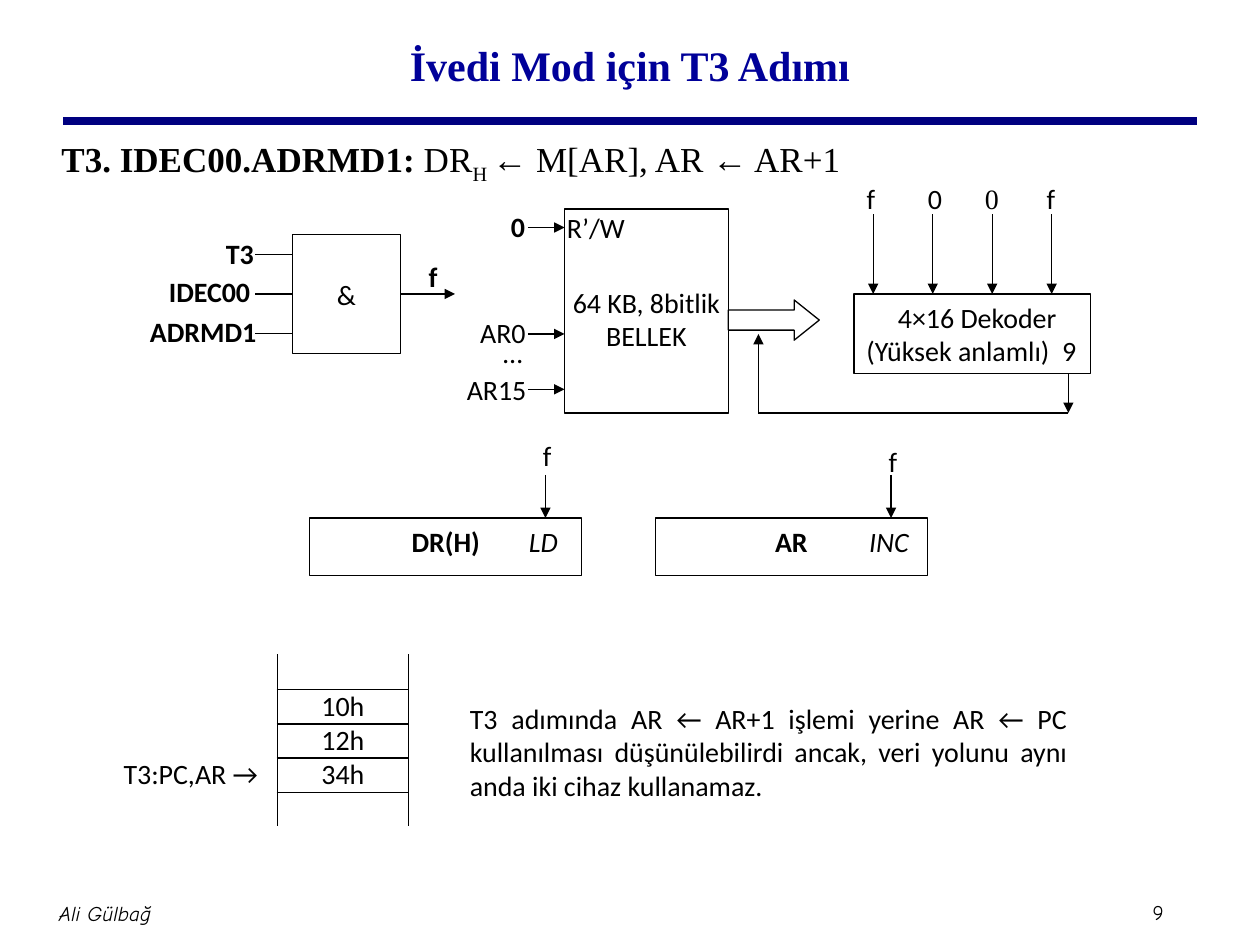
from lxml.etree import SubElement
from pptx import Presentation
from pptx.dml.color import RGBColor
from pptx.enum.shapes import MSO_CONNECTOR, MSO_SHAPE
from pptx.enum.text import MSO_ANCHOR, PP_ALIGN
from pptx.oxml import parse_xml
from pptx.oxml.ns import nsdecls, qn
from pptx.util import Pt

COLORS = {"ink": "000000", "paper": "FFFFFF", "title": "000099", "rule": "000080"}
SERIF, SANS, HAND = "Times New Roman", "Calibri", "Comic Neue"
LEFT, CENTER, RIGHT, JUSTIFY = PP_ALIGN.LEFT, PP_ALIGN.CENTER, PP_ALIGN.RIGHT, PP_ALIGN.JUSTIFY
TOP, MIDDLE = MSO_ANCHOR.TOP, MSO_ANCHOR.MIDDLE


class Diagram:
    """Holds the text style and the current slide; all lengths are points."""

    def __init__(self, slide, font=SANS, size=16, line_width=0.75):
        self.slide = slide
        self.font = font
        self.size = size
        self.line_width = line_width

    def color(self, name):
        return RGBColor.from_string(COLORS[name])

    def add_run(self, paragraph, text, bold=False, italic=False, font=None,
                size=None, color="ink", baseline=None):
        run = paragraph.add_run()
        run.text = text
        run.font.name = font or self.font
        run.font.size = Pt(size or self.size)
        run.font.bold = bold
        run.font.italic = italic
        run.font.color.rgb = self.color(color)
        if baseline:
            run.font._element.set("baseline", str(baseline))

    def frame(self, shape, align=LEFT, anchor=TOP, margins=(7.2, 3.6)):
        text_frame = shape.text_frame
        text_frame.word_wrap = True
        text_frame.vertical_anchor = anchor
        text_frame.margin_left = text_frame.margin_right = Pt(margins[0])
        text_frame.margin_top = text_frame.margin_bottom = Pt(margins[1])
        text_frame.paragraphs[0].alignment = align
        return text_frame

    def text(self, left, top, width, height, text, align=LEFT, anchor=TOP,
             margins=(7.2, 3.6), **style):
        box = self.slide.shapes.add_textbox(Pt(left), Pt(top), Pt(width), Pt(height))
        paragraph = self.frame(box, align, anchor, margins).paragraphs[0]
        if text:
            self.add_run(paragraph, text, **style)
        return paragraph

    def shape(self, left, top, width, height, kind=MSO_SHAPE.RECTANGLE):
        shape = self.slide.shapes.add_shape(kind, Pt(left), Pt(top), Pt(width), Pt(height))
        shape.shadow.inherit = False
        shape.fill.solid()
        shape.fill.fore_color.rgb = self.color("paper")
        shape.line.color.rgb = self.color("ink")
        shape.line.width = Pt(self.line_width)
        return shape

    def line(self, x1, y1, x2, y2, arrow=False, color="ink", width=None):
        connector = self.slide.shapes.add_connector(
            MSO_CONNECTOR.STRAIGHT, Pt(x1), Pt(y1), Pt(x2), Pt(y2))
        connector.line.color.rgb = self.color(color)
        connector.line.width = Pt(width or self.line_width)
        if arrow:
            SubElement(connector.line._get_or_add_ln(), qn("a:tailEnd"), type="triangle")
        SubElement(connector._element.spPr, qn("a:effectLst"))

    def table(self, left, top, widths, row_height, rows):
        frame = self.slide.shapes.add_table(
            len(rows), len(widths), Pt(left), Pt(top),
            Pt(sum(widths)), Pt(row_height * len(rows)))
        table = frame.table
        table.first_row = table.horz_banding = False
        for column, width in zip(table.columns, widths):
            column.width = Pt(width)
        for row, texts in zip(table.rows, rows):
            row.height = Pt(row_height)
            for cell, text in zip(row.cells, texts):
                cell.fill.background()
                cell.margin_left = cell.margin_right = Pt(5)
                cell.margin_top = cell.margin_bottom = 0
                paragraph = cell.text_frame.paragraphs[0]
                paragraph.alignment = CENTER
                if text:
                    self.add_run(paragraph, text)
                else:
                    SubElement(paragraph._p, qn("a:endParaRPr"), sz=str(self.size * 100))
        return table

    def borders(self, cell, sides):
        properties = cell._tc.get_or_add_tcPr()
        for index, side in enumerate(sides):
            properties.insert(index, parse_xml(
                f'<a:ln{side} {nsdecls("a")} w="12700"><a:solidFill>'
                f'<a:srgbClr val="{COLORS["ink"]}"/></a:solidFill></a:ln{side}>'))


presentation = Presentation()
presentation.slide_width, presentation.slide_height = Pt(720), Pt(540)
slide = presentation.slides.add_slide(presentation.slide_layouts[6])
diagram = Diagram(slide)

# Title, rule and footer
diagram.line(36, 69.2, 684, 69.2, color="rule", width=4.5)
diagram.text(54, 5.8, 612, 62, "İvedi Mod için T3 Adımı", CENTER, MIDDLE,
             font=SERIF, size=24, bold=True, color="title")
diagram.text(655, 510.5, 34, 21.6, "9", anchor=MIDDLE, margins=(3.6, 3.6),
             font=HAND, size=12)
diagram.text(20, 504, 80, 36, "Ali Gülbağ", CENTER, MIDDLE, (3.6, 3.6),
             font=HAND, size=12, italic=True)

# Register transfer statement
statement = diagram.text(28, 75, 660, 43, "")
statement.space_before = Pt(4)
for text, style in (("T3. IDEC00.ADRMD1:", {"bold": True}), (" DR", {}),
                    ("H ", {"baseline": -25000}), ("← M[AR], AR ← AR+1", {})):
    diagram.add_run(statement, text, font=SERIF, size=20, **style)

# AND gate
gate = diagram.shape(167, 134, 62, 68)
diagram.add_run(diagram.frame(gate, CENTER, MIDDLE).paragraphs[0], "&")
for y in (145.4, 168, 190.6):
    diagram.line(146, y, 167, y)
diagram.line(229, 168, 260, 168, arrow=True)
for left, top, text in ((129, 135.4, "T3"), (96.5, 157, "IDEC00"), (85.7, 180, "ADRMD1"),
                        (292, 119.5, "0"), (245, 148.3, "f")):
    diagram.text(left, top, 70, 26, text, margins=(0, 0), bold=True)

# Memory
memory = diagram.shape(322.6, 119.5, 93.6, 116.6)
memory_text = diagram.frame(memory, margins=(1.4, 0.7))
diagram.add_run(memory_text.paragraphs[0], "R’/W")
capacity = memory_text.add_paragraph()
capacity.alignment = CENTER
capacity.space_before = Pt(23.5)
diagram.add_run(capacity, "64 KB, 8bitlik BELLEK")
for y in (130, 190.8, 222.5):
    diagram.line(301.7, y, 322.6, y, arrow=True)
for left, top, text in ((261.4, 177, "AR0"), (267, 188, "…"), (257.8, 209.5, "AR15")):
    diagram.text(left, top, 52, 34, text, CENTER)

# Decoder with its inputs
decoder = diagram.shape(488, 168, 135, 45.4)
decoder_text = diagram.frame(decoder).paragraphs[0]
decoder_text._p.get_or_add_pPr().set("indent", str(Pt(18)))
diagram.add_run(decoder_text, "4×16 Dekoder (Yüksek anlamlı)  9")
for index, (left, text, font) in enumerate(((488.2, "f", SANS), (523.2, "0", SANS),
                                            (555.8, "0", SERIF), (591, "f", SANS))):
    x = 499 + 34 * index
    diagram.line(x, 122.4, x, 168, arrow=True)
    diagram.text(left, 100, 42, 34, text, font=font)

# Memory output and decoder feedback
bus = diagram.shape(416.2, 171.4, 52, 23, MSO_SHAPE.RIGHT_ARROW)
bus.adjustments[0], bus.adjustments[1] = 0.5, 0.625
diagram.line(610.5, 213.4, 610.5, 236, arrow=True)
diagram.line(610.5, 236, 433.4, 236)
diagram.line(433.4, 236, 433.4, 190.8, arrow=True)

# Registers
for left, name, control, signal_top in ((177, "DR(H)", "LD", 247),
                                        (374.5, "AR", "INC", 250.6)):
    register = diagram.shape(left, 296, 155.5, 33)
    diagram.add_run(diagram.frame(register, CENTER).paragraphs[0], name, bold=True)
    signal_x = left + 134.7
    diagram.line(signal_x, 271.4, signal_x, 296, arrow=True)
    diagram.text(left + 97, 296, 73, 24.5, control, CENTER, italic=True)
    diagram.text(signal_x - 20, signal_top, 42, 34, "f", CENTER)

# Memory contents
contents = diagram.table(42.5, 374.4, (116, 75), 19.6,
                         (("", ""), ("", "10h"), ("", "12h"), ("T3:PC,AR →", "34h"), ("", "")))
for index, sides in enumerate(("LRB", "LRTB", "LRTB", "LRTB", "LRT")):
    diagram.borders(contents.cell(index, 0), "R")
    diagram.borders(contents.cell(index, 1), sides)
pointer = contents.cell(3, 0)
pointer.margin_right = Pt(11)
pointer.text_frame.paragraphs[0].alignment = RIGHT

# Explanation
diagram.text(261.4, 396.7, 355.7, 65.5,
             "T3 adımında AR ← AR+1 işlemi yerine AR ← PC kullanılması düşünülebilirdi "
             "ancak, veri yolunu aynı anda iki cihaz kullanamaz.", JUSTIFY, MIDDLE)

presentation.save("out.pptx")
